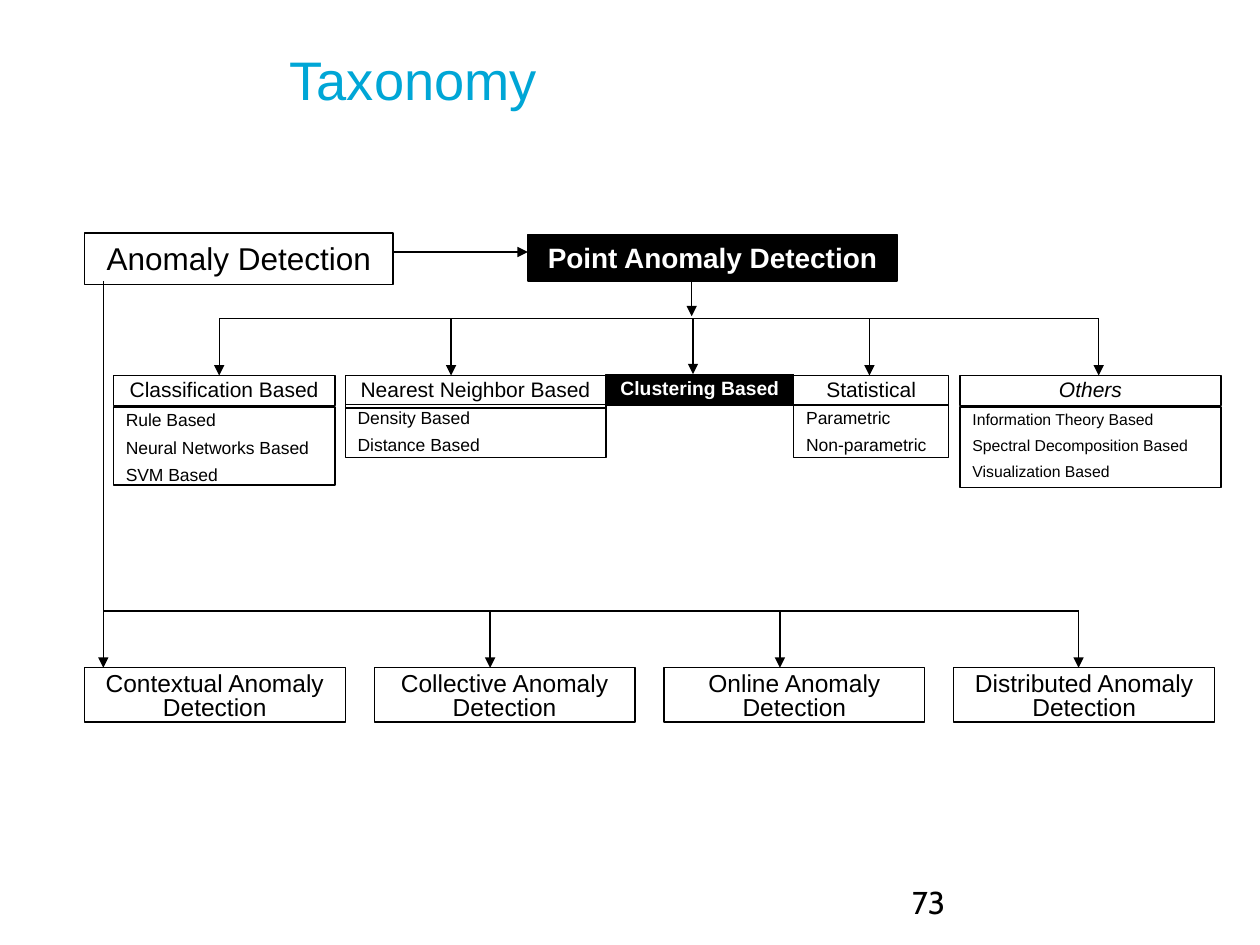
from lxml import etree
from pptx import Presentation
from pptx.dml.color import RGBColor
from pptx.enum.shapes import MSO_CONNECTOR, MSO_SHAPE
from pptx.enum.text import MSO_ANCHOR, PP_ALIGN
from pptx.oxml.ns import qn
from pptx.util import Inches, Pt

STRAIGHT = MSO_CONNECTOR.STRAIGHT
RECTANGLE = MSO_SHAPE.RECTANGLE
TOP = MSO_ANCHOR.TOP
LEFT, CENTER = PP_ALIGN.LEFT, PP_ALIGN.CENTER

COLORS = {"ink": "000000", "paper": "FFFFFF", "title": "00A6D6"}

# Methods: left, top, width, header height, arrow x, heading, heading format, list top, list height, list size, items
METHODS = [
    (0.9, 2.98, 1.76, 0.24, 1.74, "Classification Based", {}, 3.23, 0.62, 10,
     ["Rule Based", "Neural Networks Based", "SVM Based"]),
    (2.74, 2.98, 2.07, 0.26, 3.58, "Nearest Neighbor Based", {}, 3.21, 0.42, 10,
     ["Density Based", "Distance Based"]),
    (6.3, 2.98, 1.23, 0.24, 6.9, "Statistical", {}, 3.21, 0.42, 10,
     ["Parametric", "Non-parametric"]),
    (4.81, 2.97, 1.49, 0.25, 5.5, "Clustering Based", {"size": Pt(11), "bold": True},
     0, 0, 0, []),
    (7.62, 2.98, 2.07, 0.24, 8.72, "Others", {"italic": True}, 3.23, 0.64, 9,
     ["Information Theory Based", "Spectral Decomposition Based", "Visualization Based"]),
]
OTHER_KINDS = ["Contextual", "Collective", "Online", "Distributed"]
KIND_ARROWS = [3.89, 6.19, 8.56]


def color(name):
    return RGBColor.from_string(COLORS[name])


def write(shape, lines, ink="ink", align=LEFT, spacing=1.0, before=0, insets=(0.1, 0.05), **font):
    frame = shape.text_frame
    across, down = map(Inches, insets)
    frame_format = {"word_wrap": True, "vertical_anchor": TOP, "margin_left": across,
                    "margin_right": across, "margin_top": down, "margin_bottom": down}
    for key, value in frame_format.items():
        setattr(frame, key, value)
    for index, line in enumerate(lines):
        para = frame.paragraphs[0] if index == 0 else frame.add_paragraph()
        para_format = {"alignment": align, "line_spacing": spacing,
                       "space_before": Pt(before if index else 0)}
        for key, value in para_format.items():
            setattr(para, key, value)
        span = para.add_run()
        span.text = line
        for key, value in {"name": "Arial", **font}.items():
            setattr(span.font, key, value)
        span.font.color.rgb = color(ink)


def add_box(page, box, lines, dark=False, **text):
    shape = page.shapes.add_shape(RECTANGLE, *map(Inches, box))
    shape.shadow.inherit = False
    if dark:
        shape.fill.solid()
        shape.fill.fore_color.rgb = color("ink")
    else:
        shape.fill.background()
    shape.line.color.rgb = color("ink")
    shape.line.width = Pt(0.75)
    write(shape, lines, ink="paper" if dark else "ink", **text)


def add_line(page, start, end, arrow=True):
    line = page.shapes.add_connector(STRAIGHT, *map(Inches, (*start, *end)))
    line.line.color.rgb = color("ink")
    line.line.width = Pt(0.75)
    if arrow:
        etree.SubElement(line.line._get_or_add_ln(), qn("a:tailEnd"), type="triangle")
    etree.SubElement(line._element.spPr, qn("a:effectLst"))


def add_label(page, box, text, **format_values):
    label = page.shapes.add_textbox(*map(Inches, box))
    write(label, [text], **format_values)


def add_roots(page, box):
    left, top, width, height = box
    add_box(page, (left, top, 2.45, height), ["Anomaly Detection"], align=CENTER, size=Pt(18))
    point_left = left + width - 2.93
    add_box(page, (point_left, top + 0.01, 2.93, 0.37), ["Point Anomaly Detection"],
            dark=True, align=CENTER, size=Pt(16), bold=True)
    add_line(page, (left + 2.45, top + 0.15), (point_left, top + 0.15))
    add_line(page, (point_left + 1.3, top + 0.38), (point_left + 1.3, top + 0.66))


def add_method(page, box, rail, arrow_x, heading, font, list_box, list_size, items):
    header_format = {"size": Pt(12), **font}
    add_box(page, box, [heading], dark=not items, align=CENTER, spacing=0.8, **header_format)
    if items:
        add_box(page, list_box, items, spacing=0.8, before=6.2, size=Pt(list_size))
    add_line(page, (arrow_x, rail), (arrow_x, box[1]))


def add_methods(page, rail):
    arrows = [method[4] for method in METHODS]
    add_line(page, (min(arrows), rail), (max(arrows), rail), arrow=False)
    for left, top, width, height, arrow_x, heading, font, list_top, list_height, size, items in METHODS:
        add_method(page, (left, top, width, height), rail, arrow_x, heading, font,
                   (left, list_top, width, list_height), size, items)


def add_other_kinds(page, box, trunk_top):
    left, top, width, height = box
    box_width = 2.07
    step = (width - box_width) / (len(OTHER_KINDS) - 1)
    for index, kind in enumerate(OTHER_KINDS):
        add_box(page, (left + index * step, top, box_width, height),
                [f"{kind} Anomaly Detection"], align=CENTER, spacing=0.8, size=Pt(14))
    # Trunk, rail and branches
    trunk, rail = left + 0.15, top - 0.45
    add_line(page, (trunk, trunk_top), (trunk, top))
    add_line(page, (trunk, rail), (KIND_ARROWS[-1], rail), arrow=False)
    for arrow_x in KIND_ARROWS:
        add_line(page, (arrow_x, rail), (arrow_x, top))


def main():
    deck = Presentation()
    deck.slide_width, deck.slide_height = Inches(10), Inches(7.5)
    page = deck.slides.add_slide(deck.slide_layouts[6])
    # Title
    add_label(page, (2.3, 0.37, 7.7, 1.16), "Taxonomy", ink="title", insets=(0, 0), size=Pt(31))
    # Taxonomy tree
    add_roots(page, (0.67, 1.85, 6.45, 0.41))
    add_methods(page, 2.53)
    add_other_kinds(page, (0.67, 5.3, 8.97, 0.43), 2.23)
    # Page number
    add_label(page, (7.17, 6.97, 2.33, 0.4), "73", insets=(0.07, 0.04), name="Cabin", size=Pt(18))
    deck.save("out.pptx")


if __name__ == "__main__":
    main()
